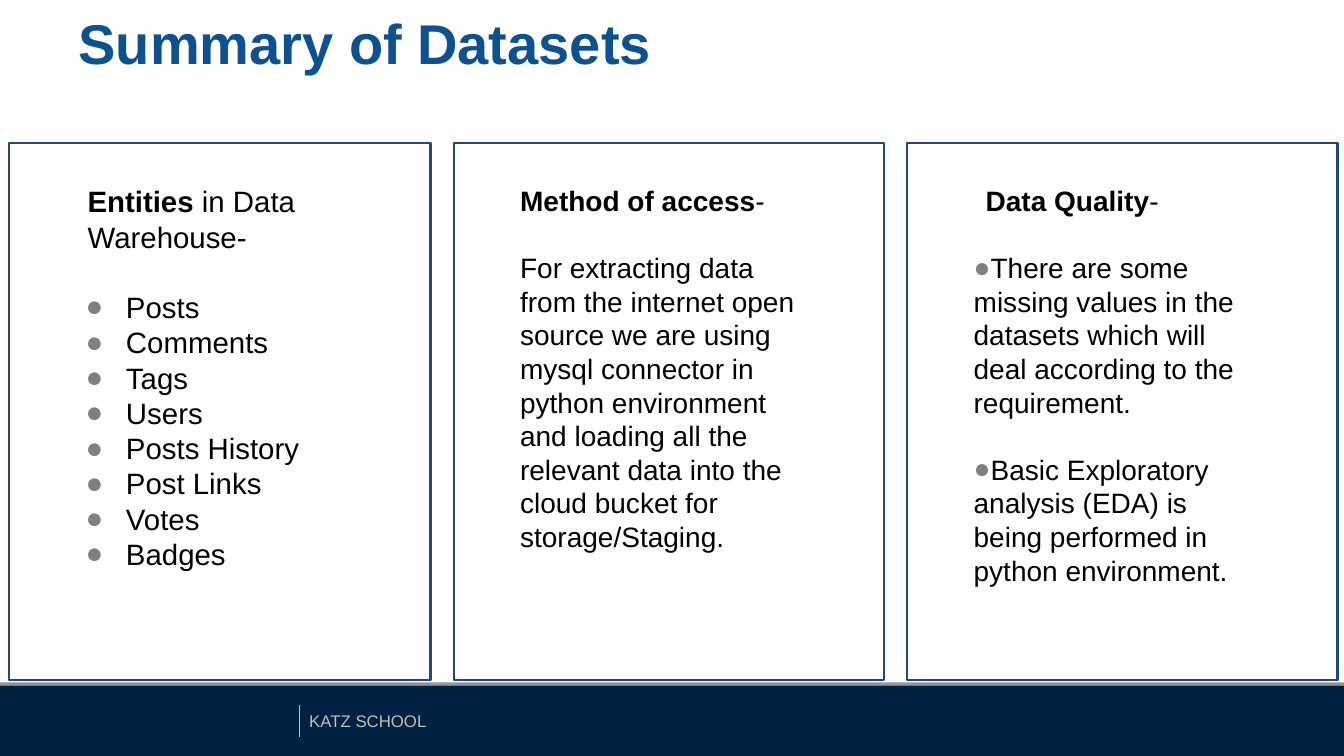
from dataclasses import dataclass

from lxml.etree import SubElement
from pptx import Presentation
from pptx.dml.color import RGBColor
from pptx.enum.shapes import MSO_CONNECTOR, MSO_SHAPE
from pptx.enum.text import MSO_ANCHOR, PP_ALIGN
from pptx.oxml.ns import qn
from pptx.util import Pt


@dataclass(frozen=True)
class Theme:
    font: str = "Arial"
    blue: str = "0D518E"
    edge: str = "1F497D"
    navy: str = "002142"
    grey: str = "959595"
    pale: str = "C0BFB8"
    dot: str = "7F7F7F"
    ink: str = "000000"
    title: int = 40
    large: int = 21
    body: int = 20
    small: int = 12


THEME = Theme()
PAD = (47.5, 28.8, 57.6, 6.5)
TOP, TALL = 102.2, 383.8


def color(code):
    return RGBColor.from_string(code)


def add_rect(slide, left, top, width, height, fill=None, line=None):
    rect = slide.shapes.add_shape(
        MSO_SHAPE.RECTANGLE, Pt(left), Pt(top), Pt(width), Pt(height))
    rect.shadow.inherit = False
    if fill:
        rect.fill.solid()
        rect.fill.fore_color.rgb = color(fill)
    else:
        rect.fill.background()
    if line:
        rect.line.color.rgb = color(line)
        rect.line.width = Pt(1.5)
    else:
        rect.line.fill.background()
    return rect


def add_rule(slide, x, top, end):
    rule = slide.shapes.add_connector(
        MSO_CONNECTOR.STRAIGHT, Pt(x), Pt(top), Pt(x), Pt(end))
    rule.line.color.rgb = color(THEME.pale)
    rule.line.width = Pt(0.75)
    SubElement(rule._element.spPr, qn("a:effectLst"))


def set_frame(shape, pad, wrap=True):
    frame = shape.text_frame
    frame.word_wrap = wrap
    frame.vertical_anchor = MSO_ANCHOR.TOP
    frame.margin_left, frame.margin_top, frame.margin_right, frame.margin_bottom = map(Pt, pad)
    return frame


def add_text(frame, *runs, size, ink=THEME.ink, space=None, before=0,
             left=0, hang=0, bullet=False):
    """Add one paragraph; each run is a pair of text and bold."""
    first = frame.paragraphs[0]
    para = frame.add_paragraph() if first.runs else first
    props = para._p.get_or_add_pPr()
    props.set("marL", str(Pt(left)))
    props.set("indent", str(Pt(hang)))
    if bullet:
        tint = SubElement(props, qn("a:buClr"))
        SubElement(tint, qn("a:srgbClr"), val=THEME.dot)
        SubElement(props, qn("a:buFont"), typeface=THEME.font)
        SubElement(props, qn("a:buChar"), char="●")
    else:
        SubElement(props, qn("a:buNone"))
    para.alignment = PP_ALIGN.LEFT
    if space:
        para.line_spacing = space
    if before:
        para.space_before = Pt(before)
    for text, bold in runs:
        run = para.add_run()
        run.text = text
        run.font.name = THEME.font
        run.font.size = Pt(size)
        run.font.bold = bold
        run.font.color.rgb = color(ink)


def add_card(slide, x, width, head, items, size, inset=0, **style):
    card = add_rect(slide, x, TOP, width, TALL, line=THEME.edge)
    frame = set_frame(card, PAD)
    pitch = round(size * 1.2, 1)
    add_text(frame, *head, size=size, space=Pt(pitch), left=inset)
    for index, item in enumerate(items):
        gap = pitch if index == 0 or size == THEME.body else 0
        add_text(frame, (item, False), size=size, space=Pt(pitch),
                 before=gap, **style)


def add_foot(slide):
    add_rect(slide, 0, 489.6, 960, 50.4, fill=THEME.navy)
    add_rect(slide, 0, 487.4, 960, 2.2, fill=THEME.grey)
    label = slide.shapes.add_textbox(Pt(213.8), Pt(504), Pt(104.4), Pt(21.8))
    frame = set_frame(label, (7.2, 3.6, 7.2, 3.6), wrap=False)
    add_text(frame, ("KATZ SCHOOL", False), size=THEME.small, ink=THEME.pale)
    add_rule(slide, 213.8, 503.3, 526.3)


def add_title(slide, text):
    box = slide.shapes.add_textbox(Pt(-1.4), Pt(-36), Pt(960), Pt(113.8))
    frame = set_frame(box, (57.6, 57.6, 57.6, 6.5))
    add_text(frame, (text, True), size=THEME.title, ink=THEME.blue, space=0.9)


def main():
    deck = Presentation()
    deck.slide_width, deck.slide_height = Pt(960), Pt(540)
    slide = deck.slides.add_slide(deck.slide_layouts[6])
    add_foot(slide)
    add_title(slide, "Summary of Datasets")
    add_card(slide, 6.5, 301,
             [("Entities ", True), ("in Data Warehouse-", False)],
             ["Posts", "Comments", "Tags", "Users", "Posts History",
              "Post Links", "Votes", "Badges"],
             THEME.large, inset=8.6, left=36, hang=-28.8, bullet=True)
    add_card(slide, 324, 307.4,
             [("Method of access", True), ("-", False)],
             ["For extracting data from the internet open source we are using "
              "mysql connector in python environment and loading all the "
              "relevant data into the cloud bucket for storage/Staging."],
             THEME.body)
    add_card(slide, 648, 307.4,
             [("Data Quality", True), ("-", False)],
             ["There are some missing values in the datasets which will deal "
              "according to the requirement.",
              "Basic Exploratory analysis (EDA) is being performed in python "
              "environment."],
             THEME.body, inset=8.6, hang=-28, bullet=True)
    deck.save("out.pptx")


if __name__ == "__main__":
    main()
